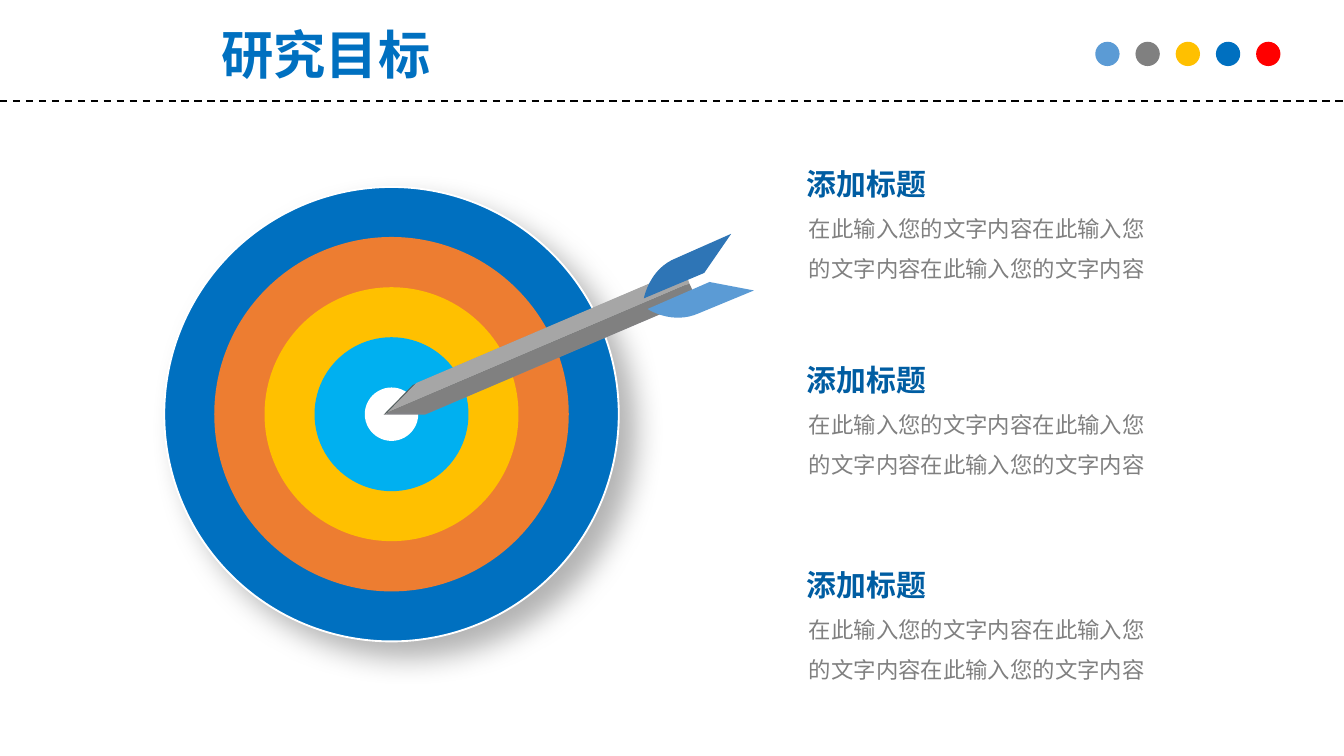
from dataclasses import dataclass

from lxml.etree import SubElement
from pptx import Presentation
from pptx.dml.color import RGBColor
from pptx.enum.dml import MSO_LINE
from pptx.enum.shapes import MSO_CONNECTOR, MSO_SHAPE
from pptx.enum.text import PP_ALIGN
from pptx.oxml.ns import qn
from pptx.util import Cm, Pt


@dataclass(frozen=True)
class Theme:
    font: str = "Noto Sans CJK SC"
    title_size: int = 28
    heading_size: int = 16
    body_size: int = 12
    blue: str = "0070C0"
    heading_blue: str = "005DA2"
    light_blue: str = "5B9BD5"
    feather_blue: str = "2E75B6"
    cyan: str = "00B0F0"
    orange: str = "ED7D31"
    yellow: str = "FFC000"
    red: str = "FF0000"
    gray: str = "808080"
    light_gray: str = "A6A6A6"
    edge_gray: str = "828286"
    dark_gray: str = "515D5D"
    white: str = "FFFFFF"
    black: str = "000000"


THEME = Theme()
SLIDE_WIDTH = 25.4
SLIDE_HEIGHT = 14.29
TARGET_CENTER = (7.4, 7.83)
HEADING = "添加标题"
BODY = "在此输入您的文字内容" * 3


def paint(shape, color):
    shape.shadow.inherit = False
    shape.fill.solid()
    shape.fill.fore_color.rgb = RGBColor.from_string(color)
    shape.line.fill.background()


def add_circle(slide, center_x, center_y, diameter, color):
    circle = slide.shapes.add_shape(
        MSO_SHAPE.OVAL,
        Cm(center_x - diameter / 2),
        Cm(center_y - diameter / 2),
        Cm(diameter),
        Cm(diameter),
    )
    paint(circle, color)
    return circle


def add_polygon(slide, points, color, shift=(0, 0)):
    corners = [(Cm(x + shift[0]), Cm(y + shift[1])) for x, y in points]
    builder = slide.shapes.build_freeform(*corners[0])
    builder.add_line_segments(corners[1:], close=True)
    paint(builder.convert_to_shape(), color)


def curve_points(start, control, end, steps=16):
    points = []
    for step in range(steps + 1):
        t = step / steps
        weights = ((1 - t) ** 3 + 3 * t * (1 - t) ** 2, 3 * t**2 * (1 - t), t**3)
        points.append(
            tuple(
                sum(weight * point[axis] for weight, point in zip(weights, (start, control, end)))
                for axis in (0, 1)
            )
        )
    return points


def add_text(slide, frame, text, size, color, bold=False, align=None, spacing=None):
    box = slide.shapes.add_textbox(*(Cm(length) for length in frame))
    box.text_frame.word_wrap = True
    para = box.text_frame.paragraphs[0]
    para.text = text
    para.alignment = align
    para.line_spacing = spacing
    font = para.font
    font.name = THEME.font
    font.size = Pt(size)
    font.bold = bold
    font.color.rgb = RGBColor.from_string(color)
    defaults = para._p.pPr.find(qn("a:defRPr"))
    SubElement(defaults, qn("a:ea"), typeface=THEME.font)


def add_soft_shadow(shape):
    effects = shape._element.spPr.find(qn("a:effectLst"))
    shadow = SubElement(
        effects,
        qn("a:outerShdw"),
        blurRad=str(Pt(16)),
        dist=str(Pt(12)),
        dir="2700000",
        algn="tl",
        rotWithShape="0",
    )
    color = SubElement(shadow, qn("a:srgbClr"), val=THEME.black)
    SubElement(color, qn("a:alpha"), val="29000")


def add_target(slide):
    board = add_circle(slide, *TARGET_CENTER, 8.59, THEME.blue)
    board.line.color.rgb = RGBColor.from_string(THEME.white)
    board.line.width = Pt(1)
    add_soft_shadow(board)
    rings = ((6.7, THEME.orange), (4.8, THEME.yellow), (2.91, THEME.cyan), (1.01, THEME.white))
    for diameter, color in rings:
        add_circle(slide, *TARGET_CENTER, diameter, color)


def add_arrow(slide):
    tip, tail = (7.32, 7.8), (13.03, 5.36)
    upper_half = [(7.87, 7.24), (12.93, 5.08), tail, tip]
    lower_half = [(8.1, 7.8), (13.16, 5.64), tail, tip]
    layers = (
        ((-0.07, 0.04), THEME.dark_gray, THEME.edge_gray),
        ((0, 0), THEME.light_gray, THEME.gray),
    )
    for shift, upper_color, lower_color in layers:
        add_polygon(slide, upper_half, upper_color, shift)
        add_polygon(slide, lower_half, lower_color, shift)

    upper_feather = curve_points((12.17, 5.64), (12.27, 5.08), (12.78, 4.88))
    add_polygon(slide, upper_feather + [(13.82, 4.42), (13.31, 5.16)], THEME.feather_blue)
    lower_feather = curve_points((12.24, 5.84), (12.7, 6.15), (13.21, 5.92))
    add_polygon(slide, lower_feather + [(14.25, 5.49), (13.41, 5.33)], THEME.light_blue)


def add_header(slide):
    add_text(slide, (3.38, 0.3, 5.56, 1.45), "研究目标", THEME.title_size, THEME.blue,
             bold=True, align=PP_ALIGN.CENTER)
    rule = slide.shapes.add_connector(
        MSO_CONNECTOR.STRAIGHT, Cm(0), Cm(1.91), Cm(SLIDE_WIDTH), Cm(1.91)
    )
    rule.line.color.rgb = RGBColor.from_string(THEME.black)
    rule.line.width = Pt(1)
    rule.line.dash_style = MSO_LINE.DASH
    SubElement(rule._element.spPr, qn("a:effectLst"))
    dots = (THEME.light_blue, THEME.gray, THEME.yellow, THEME.blue, THEME.red)
    for index, color in enumerate(dots):
        add_circle(slide, 20.93 + 0.76 * index, 1.02, 0.46, color)


def add_goal(slide, top):
    add_text(slide, (15.04, top + 0.68, 6.96, 1.8), BODY, THEME.body_size, THEME.gray, spacing=1.5)
    add_text(slide, (14.43, top, 3.89, 0.94), HEADING, THEME.heading_size, THEME.heading_blue,
             bold=True, align=PP_ALIGN.CENTER)


def main():
    deck = Presentation()
    deck.slide_width = Cm(SLIDE_WIDTH)
    deck.slide_height = Cm(SLIDE_HEIGHT)
    slide = deck.slides.add_slide(deck.slide_layouts[6])
    add_target(slide)
    add_arrow(slide)
    add_header(slide)
    for top in (3, 6.71, 10.59):
        add_goal(slide, top)
    deck.save("out.pptx")


if __name__ == "__main__":
    main()
